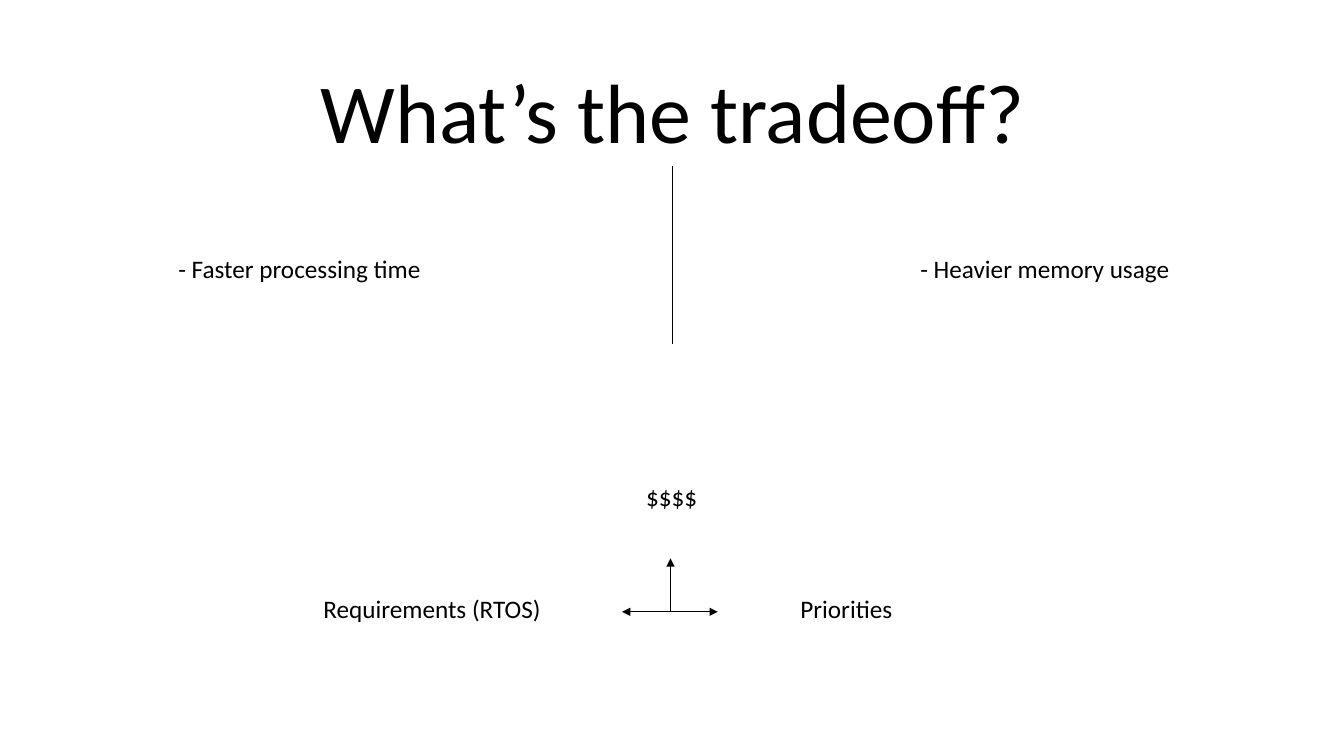
from lxml.etree import SubElement as Sub
from pptx import Presentation
from pptx.dml.color import RGBColor as Rgb
from pptx.enum.shapes import MSO_CONNECTOR as Conn
from pptx.enum.text import MSO_ANCHOR as Anchor, MSO_AUTO_SIZE as Fit, PP_ALIGN as Align
from pptx.oxml.ns import qn
from pptx.util import Emu, Pt

PX = 9144
WIDE, HIGH = 1333, 750
FONT = "Calibri"
HUES = {"ink": "000000", "back": "FFFFFF"}


def px(n):
    return Emu(n * PX)


def write(slide, text, box, size=18, wrap=False, align=Align.LEFT,
          anchor=Anchor.TOP, space=1.0, fit=Fit.SHAPE_TO_FIT_TEXT):
    label = slide.shapes.add_textbox(*map(px, box))
    frame = label.text_frame
    frame.word_wrap = wrap
    frame.auto_size = fit
    frame.vertical_anchor = anchor
    para = frame.paragraphs[0]
    para.alignment = align
    para.line_spacing = space
    run = para.add_run()
    run.text = text
    run.font.name = FONT
    run.font.size = Pt(size)
    run.font.color.rgb = Rgb.from_string(HUES["ink"])
    return label


def draw(slide, start, end, width=0.5, tips=()):
    line = slide.shapes.add_connector(Conn.STRAIGHT, *map(px, start + end))
    line.line.color.rgb = Rgb.from_string(HUES["ink"])
    line.line.width = Pt(width)
    for tip in tips:
        Sub(line.line._ln, qn(f"a:{tip}"), type="triangle")
    Sub(line._element.spPr, qn("a:effectLst"))
    return line


def head(slide, box):
    return write(slide, "What’s the tradeoff?", box, size=60, wrap=True,
                 align=Align.CENTER, anchor=Anchor.BOTTOM, space=0.9, fit=Fit.NONE)


def sides(slide, box, title):
    left, top, wide, high = box
    mid = left + wide // 2
    rule = draw(slide, (mid, top), (mid, top + high), width=0.75)
    rule.begin_connect(title, 2)
    row = top + 81
    write(slide, "- Faster processing time", (left, row, 263, 40))
    write(slide, "- Heavier memory usage", (left + 736, row, 270, 40))


def goals(slide, box):
    left, top, wide, high = box
    row = top + high - 40
    write(slide, "$$$$", (left + 320, top, 71, 40))
    write(slide, "Priorities", (left + wide - 112, row, 112, 40))
    write(slide, "Requirements (RTOS)", (left, row, 238, 40))
    mid, base = left + 354, row + 23
    draw(slide, (mid - 48, base), (mid + 47, base), tips=("headEnd", "tailEnd"))
    draw(slide, (mid, base), (mid, base - 53), tips=("tailEnd",))


def main():
    """Build the tradeoff slide and save it."""
    deck = Presentation()
    deck.slide_width, deck.slide_height = px(WIDE), px(HIGH)
    slide = deck.slides.add_slide(deck.slide_layouts[6])
    fill = slide.background.fill
    fill.solid()
    fill.fore_color.rgb = Rgb.from_string(HUES["back"])
    title = head(slide, (167, 56, 1000, 109))
    sides(slide, (167, 165, 1000, 176), title)
    goals(slide, (311, 473, 585, 151))
    deck.save("out.pptx")


if __name__ == "__main__":
    main()
